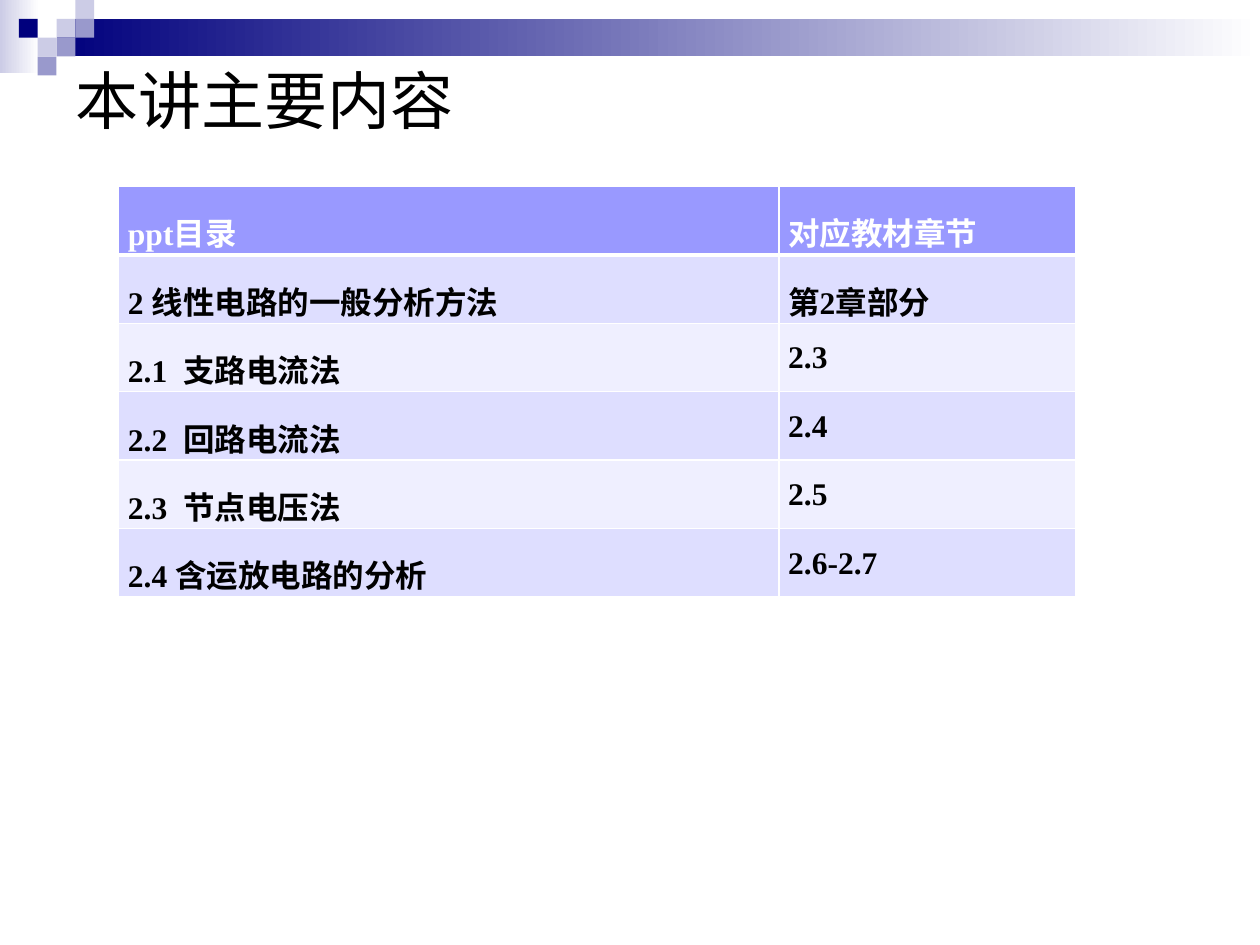
from lxml import etree
from pptx import Presentation
from pptx.dml.color import RGBColor
from pptx.enum.shapes import MSO_SHAPE
from pptx.enum.text import MSO_ANCHOR, PP_ALIGN
from pptx.oxml.ns import qn
from pptx.util import Cm, Pt

RECT = MSO_SHAPE.RECTANGLE
LEFT, JUSTIFY = PP_ALIGN.LEFT, PP_ALIGN.JUSTIFY
MIDDLE, TOP = MSO_ANCHOR.MIDDLE, MSO_ANCHOR.TOP

NAVY = RGBColor(0x00, 0x00, 0x7D)
LAVENDER = RGBColor(0xCC, 0xCC, 0xE6)
PERIWINKLE = RGBColor(0x99, 0x99, 0xCC)
HEADER = RGBColor(0x99, 0x99, 0xFF)
BAND_DARK = RGBColor(0xDE, 0xDE, 0xFF)
BAND_LIGHT = RGBColor(0xEF, 0xEF, 0xFF)
WHITE = RGBColor(0xFF, 0xFF, 0xFF)
BLACK = RGBColor(0x00, 0x00, 0x00)

SERIF, CJK = "Times New Roman", "Noto Sans CJK SC"

UNIT = 0.38  # side of one mosaic square, cm
MOSAIC = [  # column, row, colour
    (3, 1, LAVENDER), (4, 0, LAVENDER), (4, 1, PERIWINKLE), (2, 2, LAVENDER),
    (1, 1, NAVY), (3, 2, PERIWINKLE), (2, 3, PERIWINKLE),
]
ROWS = [
    ("ppt目录", "对应教材章节"),
    ("2 线性电路的一般分析方法", "第2章部分"),
    ("2.1  支路电流法", "2.3"),
    ("2.2  回路电流法", "2.4"),
    ("2.3  节点电压法", "2.5"),
    ("2.4 含运放电路的分析", "2.6-2.7"),
]
COL_WIDTHS = (13.31, 5.99)
ROW_HEIGHT = 1.22


def write_text(tf, text, size=18, font=SERIF, color=BLACK, bold=False,
               align=LEFT, spacing=1.0):
    p = tf.paragraphs[0]
    p.alignment = align
    p.line_spacing = spacing
    r = p.add_run()
    r.text = text
    r.font.size = Pt(size)
    r.font.bold = bold
    r.font.color.rgb = color
    r.font.name = font
    ea = etree.SubElement(r.font._element, qn("a:ea"))
    ea.set("typeface", CJK)


def add_rect(s, left, top, width, height, color, fade=False):
    """Add a borderless rectangle; fade runs it to white on the right."""
    sp = s.shapes.add_shape(RECT, Cm(left), Cm(top), Cm(width), Cm(height))
    sp.shadow.inherit = False
    sp.line.fill.background()
    if fade:
        sp.fill.gradient()
        sp.fill.gradient_angle = 0
        for stop, rgb in zip(sp.fill.gradient_stops, (color, WHITE)):
            stop.color.rgb = rgb
    else:
        sp.fill.solid()
        sp.fill.fore_color.rgb = color


def add_decoration(s):
    add_rect(s, 0, 0, 0.79, 1.47, LAVENDER, fade=True)
    add_rect(s, 3 * UNIT, UNIT, 25.4 - 3 * UNIT, 2 * UNIT, NAVY, fade=True)
    for col, row, color in MOSAIC:
        add_rect(s, col * UNIT, row * UNIT, UNIT, UNIT, color)


def set_title(s, text):
    title = s.shapes.title
    title.left, title.top = Cm(1.27), Cm(1.27)
    title.width, title.height = Cm(22.86), Cm(1.47)
    title.text_frame.vertical_anchor = MIDDLE
    write_text(title.text_frame, text, size=36, font=CJK)


def set_borders(cell, top=1, bottom=1):
    tc_pr = cell._tc.get_or_add_tcPr()
    for side, width in (("L", 1), ("R", 1), ("T", top), ("B", bottom)):
        ln = etree.SubElement(tc_pr, qn(f"a:ln{side}"), w=str(Pt(width)))
        fill = etree.SubElement(ln, qn("a:solidFill"))
        etree.SubElement(fill, qn("a:srgbClr"), val=str(WHITE))


def format_cell(cell, row, text):
    cell.margin_left = cell.margin_right = Cm(0.19)
    cell.margin_top = cell.margin_bottom = 0
    cell.vertical_anchor = TOP
    set_borders(cell, top=3 if row == 1 else 1, bottom=3 if row == 0 else 1)
    cell.fill.solid()
    band = BAND_DARK if row % 2 else BAND_LIGHT
    cell.fill.fore_color.rgb = band if row else HEADER
    write_text(cell.text_frame, text, color=BLACK if row else WHITE,
               bold=True, align=JUSTIFY, spacing=1.5)


def add_contents_table(s):
    table = s.shapes.add_table(
        len(ROWS), len(COL_WIDTHS), Cm(2.39), Cm(3.76),
        Cm(sum(COL_WIDTHS)), Cm(ROW_HEIGHT * len(ROWS))).table
    for column, width in zip(table.columns, COL_WIDTHS):
        column.width = Cm(width)
    for i, texts in enumerate(ROWS):
        table.rows[i].height = Cm(ROW_HEIGHT)
        for j, text in enumerate(texts):
            format_cell(table.cell(i, j), i, text)


def main():
    prs = Presentation()
    prs.slide_width, prs.slide_height = Cm(25.4), Cm(19.05)
    s = prs.slides.add_slide(prs.slide_layouts[5])
    add_decoration(s)
    set_title(s, "本讲主要内容")
    add_contents_table(s)
    prs.save("out.pptx")


if __name__ == "__main__":
    main()
